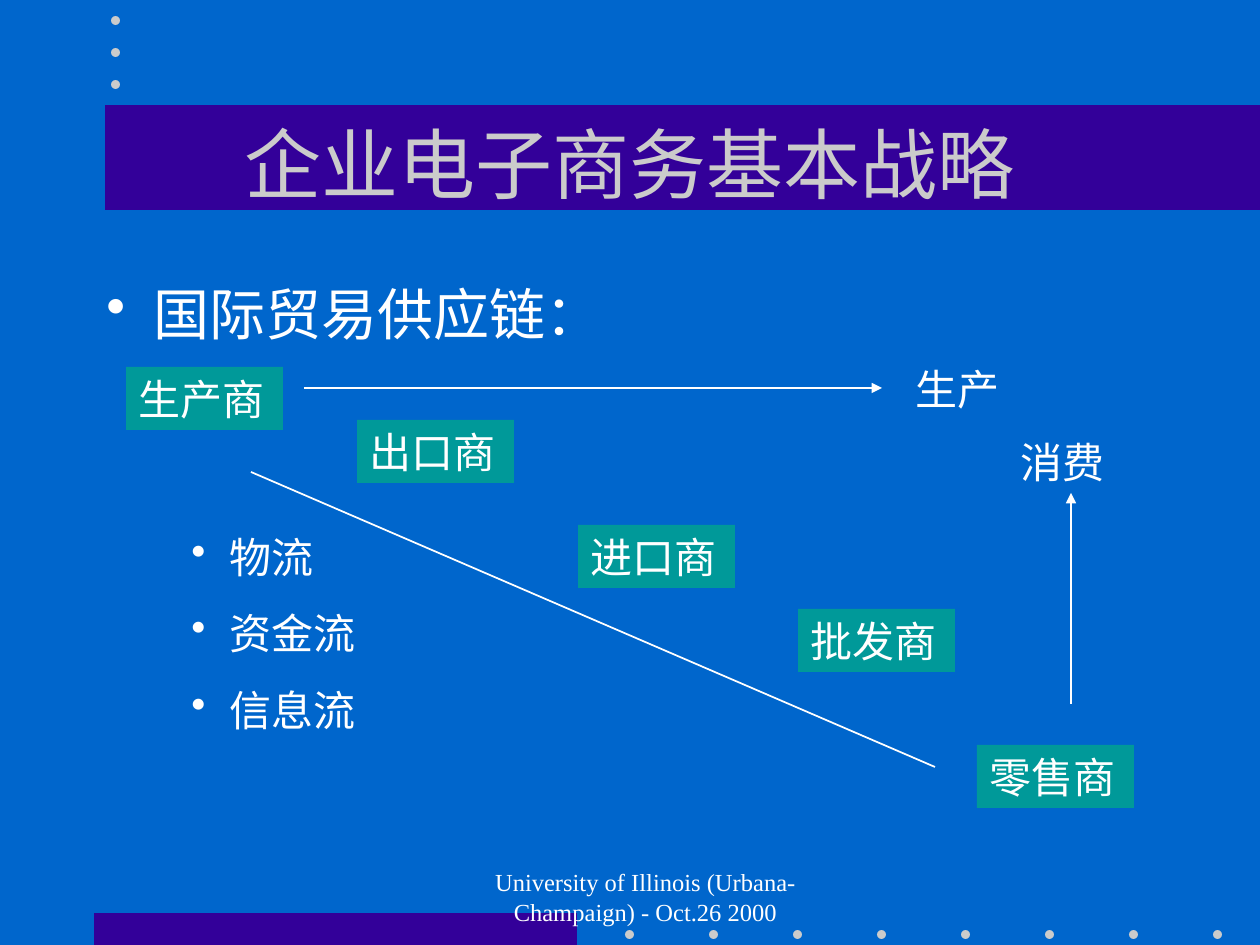
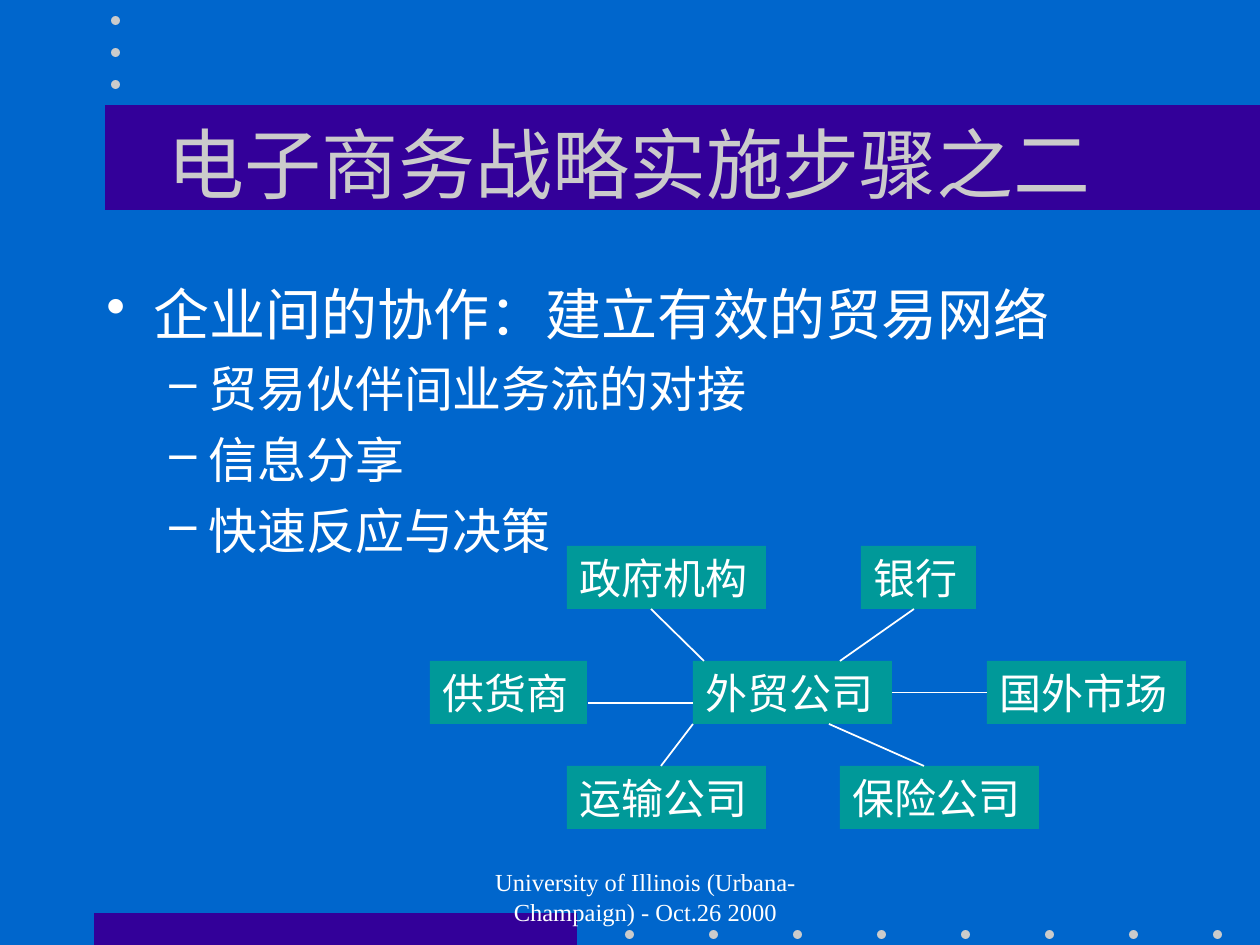
from lxml.etree import SubElement
from pptx import Presentation
from pptx.dml.color import RGBColor
from pptx.enum.shapes import MSO_CONNECTOR, MSO_SHAPE
from pptx.enum.text import MSO_ANCHOR, PP_ALIGN
from pptx.oxml.ns import qn
from pptx.util import Emu, Pt

BLUE = RGBColor(0x00, 0x66, 0xCC)
PURPLE = RGBColor(0x33, 0x00, 0x99)
TEAL = RGBColor(0x00, 0x99, 0x99)
GREY = RGBColor(0xCB, 0xCB, 0xCB)
WHITE = RGBColor(0xFF, 0xFF, 0xFF)
FONT = "Times New Roman"
EMU_PER_PX = 914400 / 126

FOOTER = "University of Illinois (Urbana-Champaign) - Oct.26 2000"
BANDS = [(105, 105, 1155, 105), (94, 913, 483, 32)]
DOT_SIZE = 9
DOTS = [(111, 16 + 32 * i) for i in range(3)] + [(625 + 84 * i, 930) for i in range(8)]

BOX_HEIGHT = 63
BODY_AREA = (94, 273, 1071, 567)
FLOW_AREA = (179, 525, 305, 217)

# Bullet styles: character, text indent px, hanging px, size pt, space before pt
TOPIC = ("•", 47, 47, 32, 8)
DETAIL = ("–", 102, 39, 28, 7)
FLOW = ("•", 38, 38, 24, 15)

CHAIN = {
    "title": "企业电子商务基本战略",
    "lists": [
        (BODY_AREA, [("国际贸易供应链：", TOPIC)]),
        (FLOW_AREA, [("物流", FLOW), ("资金流", FLOW), ("信息流", FLOW)]),
    ],
    # name, left, top, width
    "boxes": [
        ("生产商", 126, 367, 157),
        ("出口商", 357, 420, 157),
        ("进口商", 578, 525, 157),
        ("批发商", 798, 609, 157),
        ("零售商", 977, 745, 157),
    ],
    "labels": [("生产", 903, 357, 147), ("消费", 1008, 430, 126)],
    # start x, start y, end x, end y, arrowhead
    "lines": [
        (304, 388, 882, 388, True),
        (1071, 704, 1071, 493, True),
        (251, 472, 935, 767, False),
    ],
    "joined": [],
}

NETWORK = {
    "title": "电子商务战略实施步骤之二",
    "lists": [
        (BODY_AREA, [
            ("企业间的协作：建立有效的贸易网络", TOPIC),
            ("贸易伙伴间业务流的对接", DETAIL),
            ("信息分享", DETAIL),
            ("快速反应与决策", DETAIL),
        ]),
    ],
    "boxes": [
        ("外贸公司", 693, 661, 199),
        ("供货商", 430, 661, 157),
        ("国外市场", 987, 661, 199),
        ("政府机构", 567, 546, 199),
        ("银行", 861, 546, 115),
        ("运输公司", 567, 766, 199),
        ("保险公司", 840, 766, 199),
    ],
    "labels": [],
    "lines": [
        (651, 609, 704, 661, False),
        (914, 609, 840, 661, False),
        (588, 703, 693, 703, False),
        (693, 724, 661, 766, False),
        (829, 724, 924, 766, False),
    ],
    "joined": [("外贸公司", "国外市场")],
}


def px(*lengths):
    return [Emu(round(length * EMU_PER_PX)) for length in lengths]


def style(paragraph, size, color=WHITE):
    paragraph.font.name = FONT
    paragraph.font.size = Pt(size)
    paragraph.font.color.rgb = color


def set_indent(paragraph, left, hanging=0):
    properties = paragraph._p.get_or_add_pPr()
    properties.set("marL", str(px(left)[0]))
    properties.set("indent", str(-px(hanging)[0]))
    return properties


def add_filled(shapes, kind, area, color):
    shape = shapes.add_shape(kind, *px(*area))
    shape.shadow.inherit = False
    shape.fill.solid()
    shape.fill.fore_color.rgb = color
    shape.line.fill.background()
    return shape


def add_text_area(slide, area):
    text_box = slide.shapes.add_textbox(*px(*area))
    text_box.text_frame.word_wrap = True
    return text_box


def write_label(shape, text):
    frame = shape.text_frame
    frame.word_wrap = True
    frame.vertical_anchor = MSO_ANCHOR.TOP
    paragraph = frame.paragraphs[0]
    paragraph.text = text
    paragraph.alignment = PP_ALIGN.LEFT
    style(paragraph, 24)


def add_list(slide, area, items):
    frame = add_text_area(slide, area).text_frame
    for index, (text, (bullet, left, hanging, size, space)) in enumerate(items):
        paragraph = frame.add_paragraph() if index else frame.paragraphs[0]
        paragraph.text = text
        properties = set_indent(paragraph, left, hanging)
        bullet_color = SubElement(properties, qn("a:buClr"))
        SubElement(bullet_color, qn("a:srgbClr"), val=str(WHITE))
        SubElement(properties, qn("a:buChar"), char=bullet)
        if index:
            paragraph.space_before = Pt(space)
        style(paragraph, size)


def add_line(slide, ends, arrow=False):
    connector = slide.shapes.add_connector(MSO_CONNECTOR.STRAIGHT, *px(*ends))
    connector.line.color.rgb = WHITE
    connector.line.width = Pt(1)
    if arrow:
        SubElement(connector.line._get_or_add_ln(), qn("a:tailEnd"), type="triangle")
    SubElement(connector.element.spPr, qn("a:effectLst"))
    return connector


def decorate_master(master, slide):
    """Draw the bands and dots as a group, then move it to the master."""
    master.background.fill.solid()
    master.background.fill.fore_color.rgb = BLUE
    group = slide.shapes.add_group_shape()
    for band in BANDS:
        add_filled(group.shapes, MSO_SHAPE.RECTANGLE, band, PURPLE)
    for left, top in DOTS:
        add_filled(group.shapes, MSO_SHAPE.OVAL, (left, top, DOT_SIZE, DOT_SIZE), GREY)
    for number, item in enumerate(group.element.iter(qn("p:cNvPr")), 20):
        item.set("id", str(number))
    master.shapes.element.append(group.element)


def set_title(slide, text):
    title = slide.shapes.title
    title.left, title.top, title.width, title.height = px(94, 84, 1071, 157)
    title.text_frame.vertical_anchor = MSO_ANCHOR.MIDDLE
    paragraph = title.text_frame.paragraphs[0]
    paragraph.text = text
    paragraph.alignment = PP_ALIGN.CENTER
    style(paragraph, 44, GREY)


def add_footer(slide):
    paragraph = add_text_area(slide, (431, 861, 399, 63)).text_frame.paragraphs[0]
    paragraph.text = FOOTER
    paragraph.alignment = PP_ALIGN.CENTER
    set_indent(paragraph, 30)
    style(paragraph, 14)


def fill_slide(slide, content):
    set_title(slide, content["title"])
    for area, items in content["lists"]:
        add_list(slide, area, items)
    boxes = {}
    for name, left, top, width in content["boxes"]:
        area = (left, top, width, BOX_HEIGHT)
        boxes[name] = add_filled(slide.shapes, MSO_SHAPE.RECTANGLE, area, TEAL)
        write_label(boxes[name], name)
    for text, left, top, width in content["labels"]:
        write_label(add_text_area(slide, (left, top, width, BOX_HEIGHT)), text)
    for *ends, arrow in content["lines"]:
        add_line(slide, ends, arrow)
    for left_name, right_name in content["joined"]:
        connector = add_line(slide, (0, 0, 0, 0))
        connector.begin_connect(boxes[left_name], 3)
        connector.end_connect(boxes[right_name], 1)
    add_footer(slide)


def main():
    presentation = Presentation()
    presentation.slide_width, presentation.slide_height = px(1260, 945)
    title_only = presentation.slide_layouts[5]
    slides = [presentation.slides.add_slide(title_only) for _ in range(2)]
    decorate_master(presentation.slide_master, slides[0])
    for slide, content in zip(slides, (CHAIN, NETWORK)):
        fill_slide(slide, content)
    presentation.save("out.pptx")


if __name__ == "__main__":
    main()
